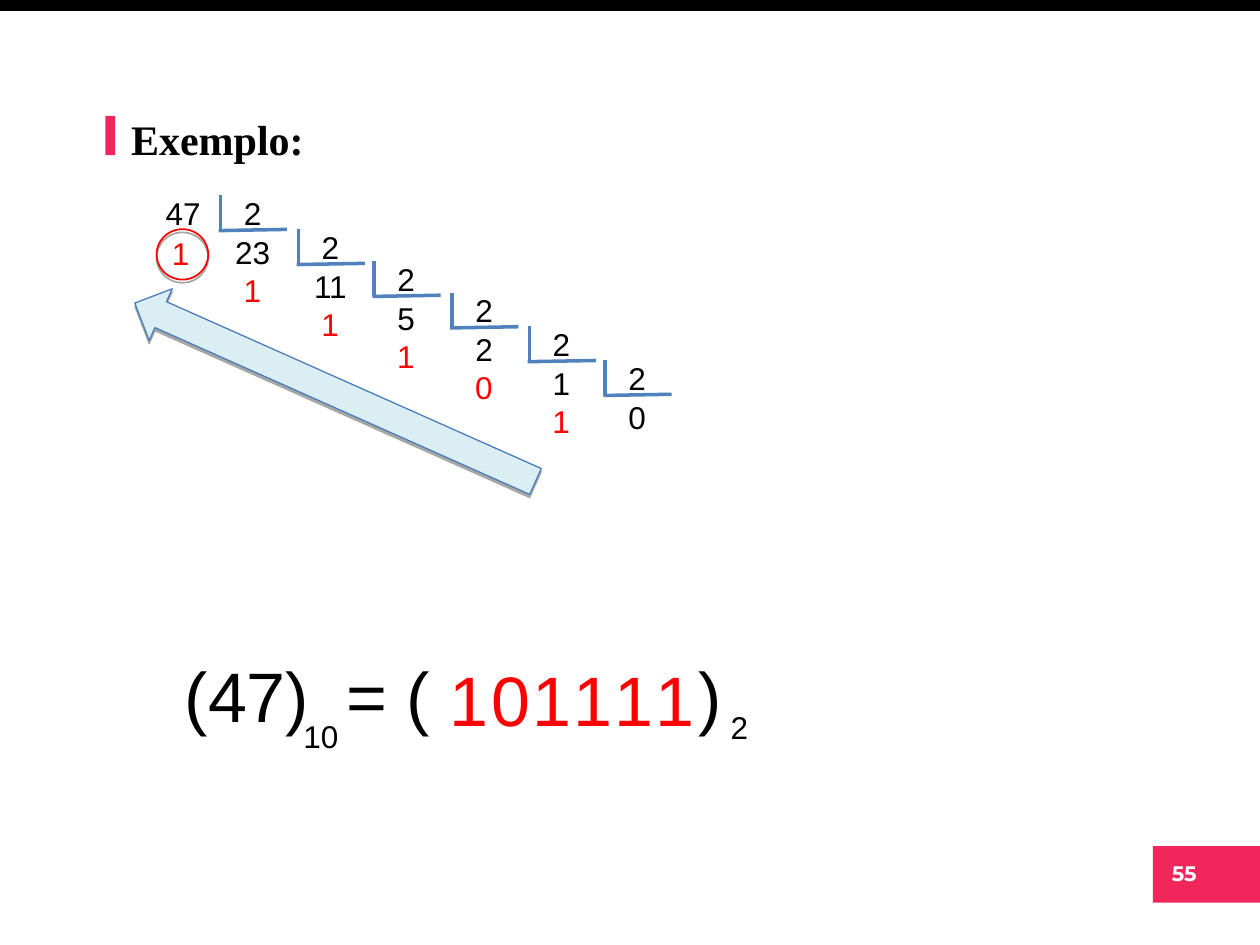
from lxml import etree
from pptx import Presentation
from pptx.dml.color import RGBColor
from pptx.enum import shapes, text
from pptx.oxml import ns
from pptx.util import Pt

BLACK = RGBColor(0x00, 0x00, 0x00)
WHITE = RGBColor(0xFF, 0xFF, 0xFF)
PINK = RGBColor(0xF0, 0x26, 0x5D)
RED = RGBColor(0xFF, 0x00, 0x00)
BLUE = RGBColor(0x4F, 0x81, 0xBD)
ARROW_FILL = RGBColor(0xDB, 0xEE, 0xF4)
ARROW_LINE = RGBColor(0x4A, 0x7E, 0xBB)

CENTER = text.PP_ALIGN.CENTER
LEFT = text.PP_ALIGN.LEFT


class SlideBuilder:
    """Holds the text style and the current slide; all lengths are points."""

    font = "Arial"
    size = 18

    def __init__(self, slide):
        self.s = slide

    def style(self, p, size, color, bold=False, font=None):
        for r in p.runs:
            r.font.name = font or self.font
            r.font.size = Pt(size)
            r.font.bold = bold
            r.font.color.rgb = color

    def label(self, words, x, y, w, h=29, size=None, color=BLACK,
              align=LEFT, bold=False, font=None):
        sp = self.s.shapes.add_textbox(Pt(x), Pt(y), Pt(w), Pt(h))
        tf = sp.text_frame
        tf.word_wrap = True
        p = tf.paragraphs[0]
        p.text = words
        p.alignment = align
        self.style(p, size or self.size, color, bold, font)

    def centered(self, words, cx, y, color=BLACK):
        self.label(words, cx - 20, y, 40, color=color, align=CENTER)

    def heading(self, words, x, y, w, h):
        sp = self.s.placeholders[1]
        sp.left, sp.top, sp.width, sp.height = Pt(x), Pt(y), Pt(w), Pt(h)
        p = sp.text_frame.paragraphs[0]
        p.text = words
        p.alignment = text.PP_ALIGN.JUSTIFY
        p.space_before = Pt(0)
        pPr = p._p.get_or_add_pPr()
        pPr.set("marL", "0")
        pPr.set("indent", "0")
        etree.SubElement(pPr, ns.qn("a:buNone"))
        self.style(p, 24, BLACK, True, "Times New Roman")

    def shape(self, kind, x, y, w, h, fill=None, line=None, width=1,
              shadow=False):
        sp = self.s.shapes.add_shape(kind, Pt(x), Pt(y), Pt(w), Pt(h))
        sp.shadow.inherit = False
        if fill is None:
            sp.fill.background()
        else:
            sp.fill.solid()
            sp.fill.fore_color.rgb = fill
        if line is None:
            sp.line.fill.background()
        else:
            sp.line.color.rgb = line
            sp.line.width = Pt(width)
        if shadow:
            self.drop_shadow(sp)
        return sp

    def drop_shadow(self, sp):
        effects = sp._element.spPr.find(ns.qn("a:effectLst"))
        outer = etree.SubElement(effects, ns.qn("a:outerShdw"), blurRad="0",
                                 dist=str(Pt(1.8)), dir="5400000",
                                 rotWithShape="0")
        color = etree.SubElement(outer, ns.qn("a:srgbClr"), val="000000")
        etree.SubElement(color, ns.qn("a:alpha"), val="35000")

    def line(self, x1, y1, x2, y2):
        c = self.s.shapes.add_connector(shapes.MSO_CONNECTOR.STRAIGHT,
                                        Pt(x1), Pt(y1), Pt(x2), Pt(y2))
        c.line.color.rgb = BLUE
        c.line.width = Pt(2)
        etree.SubElement(c._element.spPr, ns.qn("a:effectLst"))

    def division(self, x, y, quotient):
        """Divisor above its bracket, quotient below."""
        self.centered("2", x + 18.3, y - 4.3)
        self.line(x, y, x, y + 19.8)
        self.line(x - 1, y + 20.2, x + 38, y + 19.5)
        self.centered(quotient, x + 18.3, y + 18)


def main():
    prs = Presentation()
    prs.slide_width, prs.slide_height = Pt(720), Pt(540)
    s = prs.slides.add_slide(prs.slide_layouts[1])
    title = s.shapes.title._element
    title.getparent().remove(title)
    b = SlideBuilder(s)
    shape = shapes.MSO_SHAPE

    # Top band, page number and heading
    b.shape(shape.RECTANGLE, 0, 0, 720, 6.3, BLACK)
    b.shape(shape.RECTANGLE, 658.8, 483.6, 61.2, 32.2, PINK)
    b.label("55", 638.6, 488.2, 76.3, 24, 12, WHITE, CENTER, True,
            "Montserrat")
    b.shape(shape.RECTANGLE, 60.3, 66.3, 5.6, 22.4, PINK)
    b.heading("Exemplo:", 67.7, 61, 368.6, 60)

    # Successive divisions by two: bracket corner, quotient
    b.centered("47", 104.6, 107.3)
    b.centered("1", 103.2, 130.3, RED)
    steps = [(126, 111.6, 23), (170.5, 131, 11), (213.8, 149.2, 5),
             (258.3, 167.2, 2), (302.5, 186.5, 1), (345.8, 205.8, 0)]
    for x, y, quotient in steps:
        b.division(x, y, str(quotient))
        if quotient:
            b.centered(str(quotient % 2), x + 18.2, y + 39.8, RED)

    # Reading direction of the remainders
    arrow = b.shape(shape.LEFT_ARROW, 66.2, 208, 250.6, 32.4, ARROW_FILL,
                    ARROW_LINE, 0.75, shadow=True)
    arrow.rotation = 24
    b.shape(shape.OVAL, 89.5, 131, 29.5, 28.8, line=RED, shadow=True)

    # Result in both bases
    for words, x, w in [("(47)", 98.5, 95), ("= (", 190.8, 70),
                        (")", 392.2, 40)]:
        b.label(words, x, 369.4, w, 55, 40)
    b.label("10", 166.3, 406, 43)
    b.label("2", 410.4, 401, 43)
    for i, digit in enumerate("101111"):
        b.label(digit, 250 + 23.5 * i, 371.6, 38, 55, 40, RED)

    prs.save("out.pptx")


if __name__ == "__main__":
    main()
